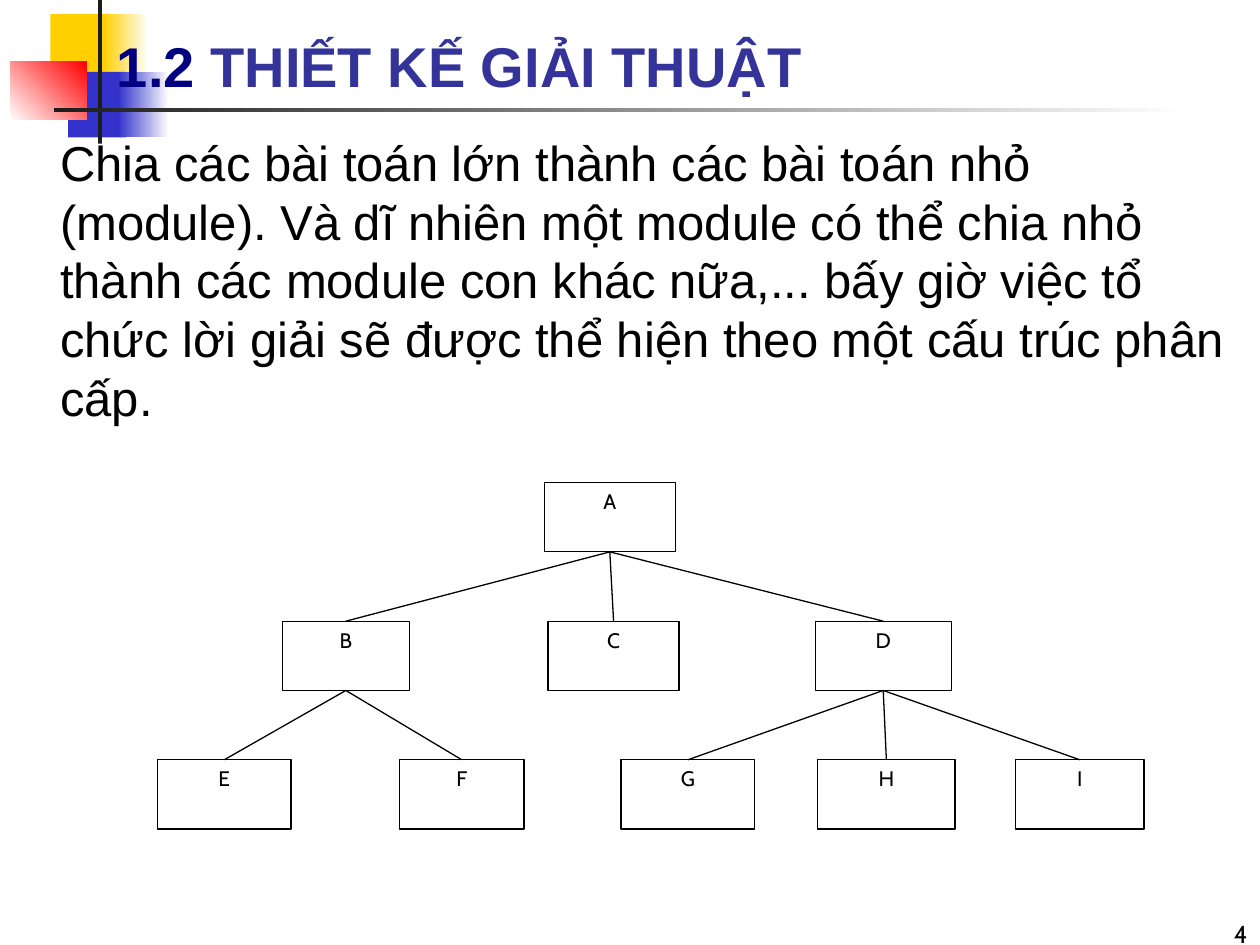
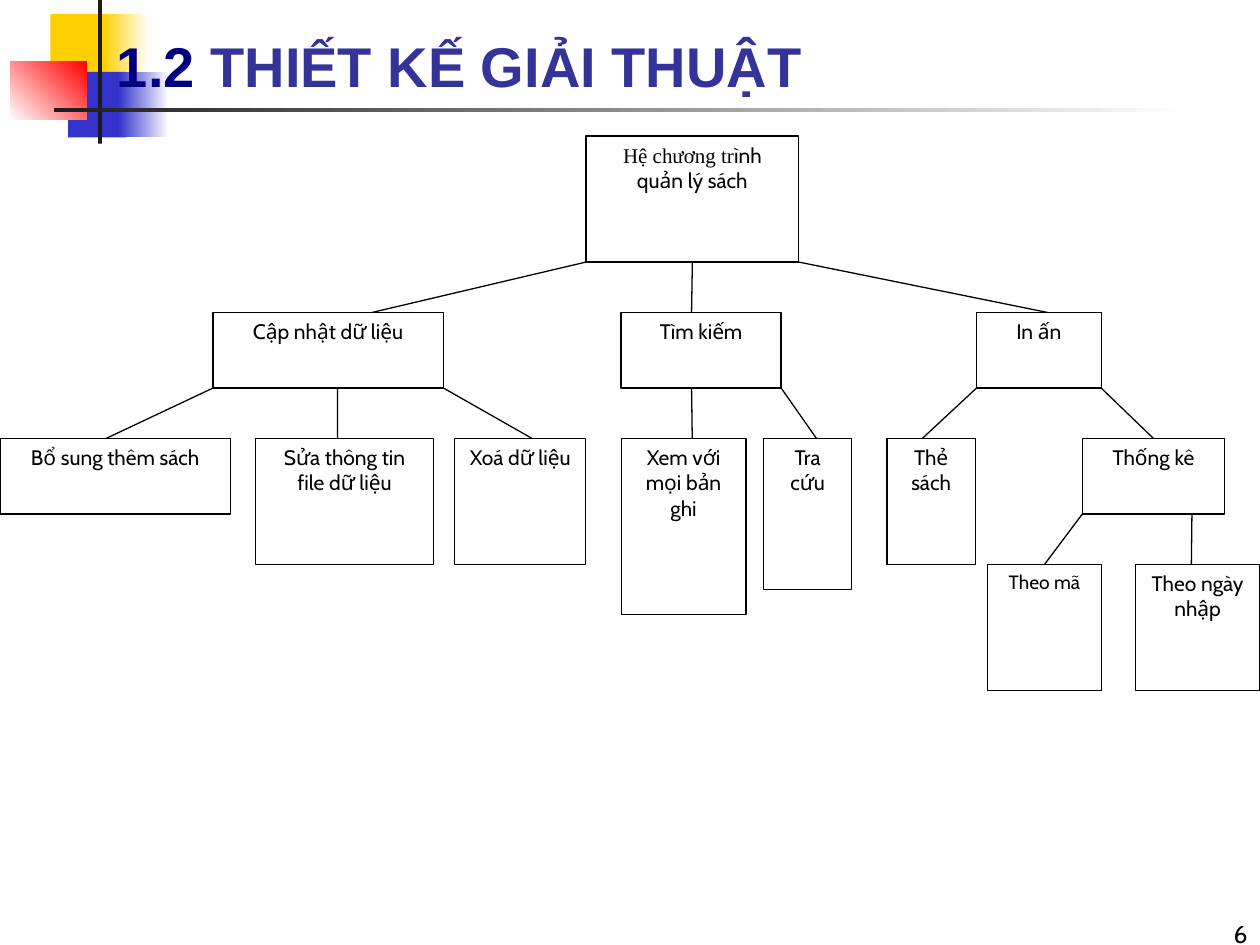
from lxml.etree import SubElement
from pptx import Presentation
from pptx.dml.color import RGBColor
from pptx.enum.shapes import MSO_CONNECTOR, MSO_SHAPE
from pptx.enum.text import MSO_ANCHOR as Anchor, PP_ALIGN as Align
from pptx.oxml.ns import qn
from pptx.util import Inches, Pt

WIDTH, HEIGHT = 10, 7.5
BOTTOM, TOP = 2, 0  # connection sites of a rectangle
COLORS = {
    "white": "FFFFFF", "black": "000000", "ink": "1C1C1C", "yellow": "FFCF01",
    "blue": "3333CC", "red": "FF0000", "navy": "000080", "indigo": "333399",
}
BOX_FONT = {"name": "Cabin", "size": 12, "color": "black"}
NUMBER_FONT = {**BOX_FONT, "size": 14}
TITLE_FONT = {"name": "Arial", "size": 32, "bold": True, "color": "indigo"}
BODY_FONT = {"name": "Arial", "size": 28, "color": "black"}

TITLE = [("1.2 ", {"color": "navy"}), ("THIẾT KẾ GIẢI THUẬT", {})]
BODY = ("Chia các bài toán lớn thành các bài toán nhỏ (module). Và dĩ nhiên một "
        "module có thể chia nhỏ thành các module con khác nữa,... bấy giờ việc tổ "
        "chức lời giải sẽ được thể hiện theo một cấu trúc phân cấp.")

# left, top, width, height, colours (two make a gradient), angle
ORNAMENTS = [
    (0.40, 0.11, 0.48, 0.52, ["yellow"], 0),
    (0.82, 0.11, 0.36, 0.52, ["yellow", "white"], 0),
    (0.54, 0.57, 0.46, 0.52, ["blue"], 0),
    (0.94, 0.57, 0.40, 0.52, ["blue", "white"], 0),
    (0.08, 0.49, 0.61, 0.46, ["white", "red"], 45),
    (0.78, -0.01, 0.03, 1.15, ["ink"], 0),
    (0.43, 0.86, 9.00, 0.03, ["ink", "white"], 0),
]

# Vertical places count in units: node name -> row, height, left and width in inches.
# Links: parent, child, share of the parent's bottom, share of the child's top.
MODULES = {
    "top": 3.83, "unit": 0.55,
    "nodes": {
        "A": (0, 1, 4.32, 1.04),
        "B": (2, 1, 2.24, 1.01), "C": (2, 1, 4.35, 1.04), "D": (2, 1, 6.47, 1.08),
        "E": (4, 1, 1.25, 1.06), "F": (4, 1, 3.17, 0.99), "G": (4, 1, 4.93, 1.06),
        "H": (4, 1, 6.49, 1.09), "I": (4, 1, 8.06, 1.02),
    },
    "links": [(parent, child, 0.5, 0.5)
              for parent, children in (("A", "BCD"), ("B", "EF"), ("D", "GHI"))
              for child in children],
    "runs": {},
}
ROOT = "Hệ chương trình quản lý sách"
BOOKS = {
    "top": 1.08, "unit": 0.2,
    "nodes": {
        ROOT: (0, 5, 4.65, 1.69),
        "Cập nhật dữ liệu": (7, 3, 1.69, 1.83),
        "Tìm kiếm": (7, 3, 4.93, 1.27),
        "In ấn": (7, 3, 7.75, 0.99),
        "Bổ sung thêm sách": (12, 3, 0, 1.83),
        "Sửa thông tin file dữ liệu": (12, 5, 2.03, 1.41),
        "Xoá dữ liệu": (12, 5, 3.61, 1.04),
        "Xem với mọi bản ghi": (12, 7, 4.93, 0.99),
        "Tra cứu": (12, 6, 6.06, 0.7),
        "Thẻ sách": (12, 5, 7.04, 0.7),
        "Thống kê": (12, 3, 8.59, 1.13),
        "Theo mã": (17, 5, 7.84, 0.9),
        "Theo ngày nhập": (17, 5, 9.01, 0.99),
    },
    "links": [
        (ROOT, "Cập nhật dữ liệu", 0, 0.69),
        (ROOT, "In ấn", 1, 0.57),
        (ROOT, "Tìm kiếm", 0.5, 0.44),
        ("Cập nhật dữ liệu", "Bổ sung thêm sách", 0, 0.46),
        ("Cập nhật dữ liệu", "Xoá dữ liệu", 1, 0.59),
        ("Cập nhật dữ liệu", "Sửa thông tin file dữ liệu", 0.54, 0.46),
        ("Tìm kiếm", "Xem với mọi bản ghi", 0.44, 0.57),
        ("Tìm kiếm", "Tra cứu", 1, 0.6),
        ("In ấn", "Thẻ sách", 0, 0.4),
        ("In ấn", "Thống kê", 1, 0.5),
        ("Thống kê", "Theo ngày nhập", 0.77, 0.45),
        ("Thống kê", "Theo mã", 0, 0.5),
    ],
    "runs": {
        ROOT: [("Hệ chương tr", {"name": "Times New Roman"}), ("ình quản lý sách", {})],
        "Theo mã": [("Theo mã", {"size": 11})],
    },
}
SLIDES = [
    {"number": "4", "body": BODY, "tree": MODULES},
    {"number": "6", "body": None, "tree": BOOKS},
]


def rgb(name):
    return RGBColor.from_string(COLORS[name])


def write(sp, runs, font, align=Align.LEFT, anchor=Anchor.TOP):
    """Fill a shape with one paragraph; each run may override parts of the font."""
    tf = sp.text_frame
    tf.word_wrap, tf.vertical_anchor = True, anchor
    p = tf.paragraphs[0]
    p.alignment = align
    for text, changes in runs:
        r = p.add_run()
        r.text = text
        for key, value in {**font, **changes}.items():
            if key == "color":
                r.font.color.rgb = rgb(value)
            else:
                setattr(r.font, key, Pt(value) if key == "size" else value)
    return p


def add_text(slide, box, runs, font, **layout):
    return write(slide.shapes.add_textbox(*map(Inches, box)), runs, font, **layout)


def add_rect(slide, box, colors, angle=0, outline=None):
    sp = slide.shapes.add_shape(MSO_SHAPE.RECTANGLE, *map(Inches, box))
    sp.shadow.inherit = False
    if len(colors) == 1:
        sp.fill.solid()
        sp.fill.fore_color.rgb = rgb(colors[0])
    else:
        sp.fill.gradient()
        sp.fill.gradient_angle = angle
        for stop, color in zip(sp.fill.gradient_stops, colors):
            stop.color.rgb = rgb(color)
    if outline:
        sp.line.color.rgb, sp.line.width = rgb(outline), Pt(0.75)
    else:
        sp.line.fill.background()
    return sp


def add_link(slide, parent, child, out, into):
    """Join two boxes, glued wherever the end is the middle of a side."""
    line = slide.shapes.add_connector(
        MSO_CONNECTOR.STRAIGHT,
        int(parent.left + out * parent.width), parent.top + parent.height,
        int(child.left + into * child.width), child.top)
    if out == 0.5:
        line.begin_connect(parent, BOTTOM)
    if into == 0.5:
        line.end_connect(child, TOP)
    line.line.color.rgb, line.line.width = rgb("black"), Pt(0.75)
    SubElement(line._element.spPr, qn("a:effectLst"))


def add_tree(slide, tree):
    boxes, unit = {}, tree["unit"]
    for name, (row, rows, left, width) in tree["nodes"].items():
        box = (left, tree["top"] + row * unit, width, rows * unit)
        boxes[name] = add_rect(slide, box, ["white"], outline="black")
        runs = tree["runs"].get(name, [(name, {})])
        write(boxes[name], runs, BOX_FONT, align=Align.CENTER)
    for parent, child, out, into in tree["links"]:
        add_link(slide, boxes[parent], boxes[child], out, into)


def add_frame(slide, number):
    for *box, colors, angle in ORNAMENTS:
        add_rect(slide, box, colors, angle)
    add_text(slide, (7.92, 7.08, 2.08, 0.5), [(number, {})], NUMBER_FONT,
             align=Align.RIGHT, anchor=Anchor.BOTTOM)
    add_text(slide, (0.83, 0, 8.92, 0.83), TITLE, TITLE_FONT, anchor=Anchor.BOTTOM)


def add_body(slide, text):
    p = add_text(slide, (0, 1, WIDTH, 6.08), [(text, {})], BODY_FONT)
    p.space_before = Pt(7)
    p._p.get_or_add_pPr().set("marL", str(Inches(0.38)))


def main():
    prs = Presentation()
    prs.slide_width, prs.slide_height = Inches(WIDTH), Inches(HEIGHT)
    for content in SLIDES:
        slide = prs.slides.add_slide(prs.slide_layouts[6])
        add_frame(slide, content["number"])
        if content["body"]:
            add_body(slide, content["body"])
        add_tree(slide, content["tree"])
    prs.save("out.pptx")


if __name__ == "__main__":
    main()
